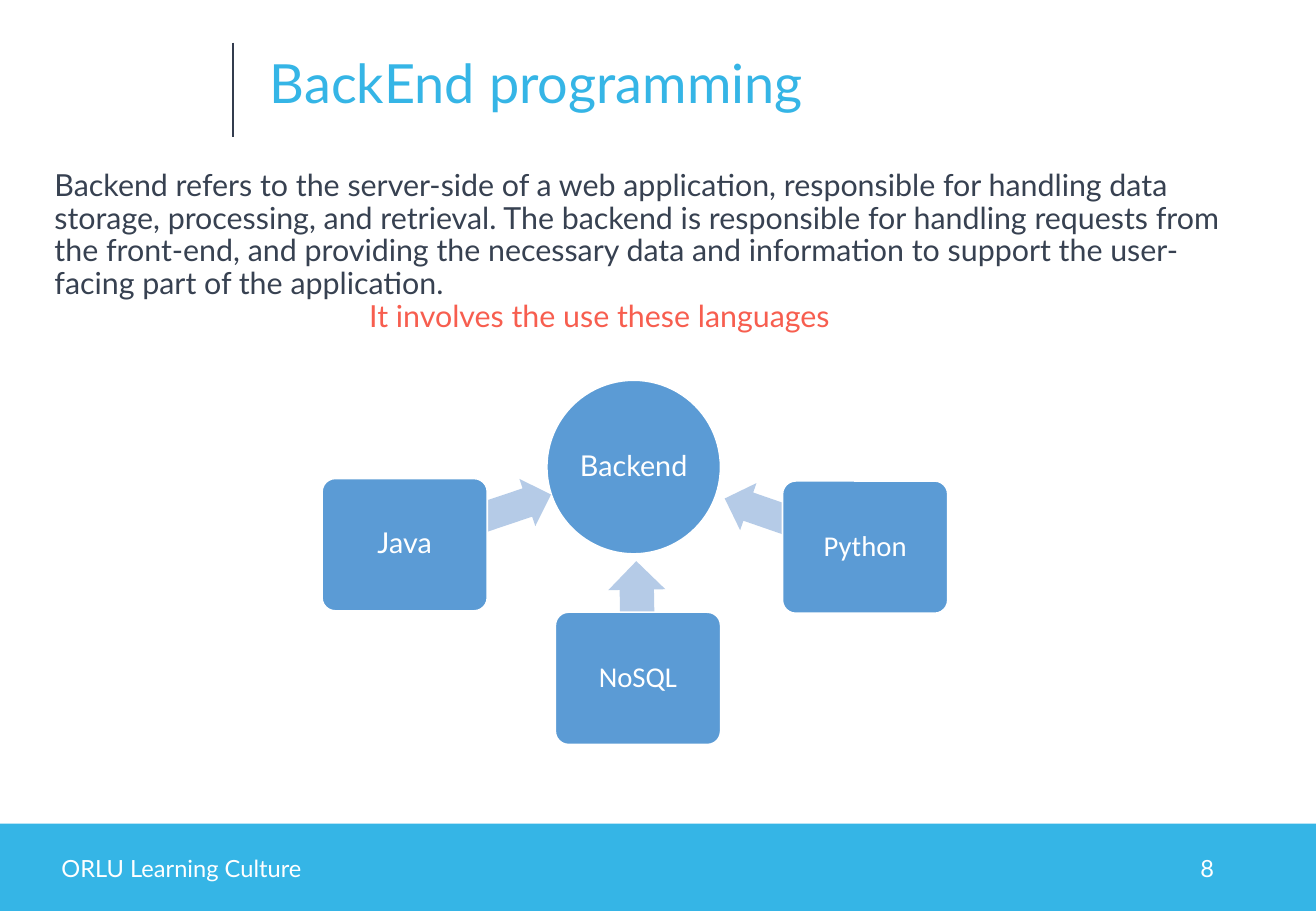
from lxml import etree
from pptx import Presentation
from pptx.dml.color import RGBColor
from pptx.enum.shapes import MSO_CONNECTOR, MSO_SHAPE
from pptx.enum.text import MSO_ANCHOR, MSO_AUTO_SIZE, PP_ALIGN
from pptx.oxml.ns import qn
from pptx.util import Inches, Pt

RECTANGLE, OVAL = MSO_SHAPE.RECTANGLE, MSO_SHAPE.OVAL
ROUNDED, LEFT_ARROW = MSO_SHAPE.ROUNDED_RECTANGLE, MSO_SHAPE.LEFT_ARROW
STRAIGHT = MSO_CONNECTOR.STRAIGHT
TOP, MIDDLE = MSO_ANCHOR.TOP, MSO_ANCHOR.MIDDLE
LEFT, CENTER, RIGHT = PP_ALIGN.LEFT, PP_ALIGN.CENTER, PP_ALIGN.RIGHT
NO_FIT = MSO_AUTO_SIZE.NONE

WHITE, SKY, NAVY = "FFFFFF", "35B5E6", "333C4E"
SLATE, CORAL = "374151", "F75E4F"
NODE_BLUE, ARROW_BLUE = "5B9BD5", "B5CBE7"


def rgb(code):
    return RGBColor.from_string(code)


class SlideBuilder:
    font = "Lato"

    def __init__(self, deck):
        self.width, self.height = deck.slide_width, deck.slide_height
        self.slide = deck.slides.add_slide(deck.slide_layouts[5])

    def place(self, left, top, width, height):
        return (round(self.width * left / 100), round(self.height * top / 100),
                round(self.width * width / 100), round(self.height * height / 100))

    def set_words(self, frame, words, size, color, align=LEFT, anchor=MIDDLE,
                  spacing=1.0, inset=None, font=None):
        frame.word_wrap = True
        frame.auto_size = NO_FIT
        frame.vertical_anchor = anchor
        if inset is not None:
            frame.margin_left = frame.margin_right = Inches(inset)
            frame.margin_top = frame.margin_bottom = Inches(inset)
        frame.text = words
        paragraph = frame.paragraphs[0]
        paragraph.alignment = align
        paragraph.line_spacing = spacing
        paragraph.font.name = font or self.font
        paragraph.font.size = Pt(size)
        paragraph.font.color.rgb = rgb(color)

    def title(self, area, words):
        heading = self.slide.shapes.title
        heading.left, heading.top, heading.width, heading.height = self.place(*area)
        self.set_words(heading.text_frame, words, 32, SKY, spacing=0.9, inset=0)

    def text(self, area, words, size, color, **style):
        box = self.slide.shapes.add_textbox(*self.place(*area))
        self.set_words(box.text_frame, words, size, color, **style)

    def rule(self, left, top, length):
        x, y, _, drop = self.place(left, top, 0, length)
        divider = self.slide.shapes.add_connector(STRAIGHT, x, y, x, y + drop)
        divider.line.color.rgb = rgb(NAVY)
        divider.line.width = Pt(1)
        etree.SubElement(divider._element.spPr, qn("a:effectLst"))

    def shape(self, kind, area, fill, outline=None, adjust=()):
        figure = self.slide.shapes.add_shape(kind, *self.place(*area))
        figure.shadow.inherit = False
        figure.fill.solid()
        figure.fill.fore_color.rgb = rgb(fill)
        if outline:
            figure.line.color.rgb = rgb(outline)
            figure.line.width = Pt(1)
        else:
            figure.line.fill.background()
        for index, value in enumerate(adjust):
            figure.adjustments[index] = value
        return figure

    def node(self, kind, area, label, font=None, adjust=()):
        figure = self.shape(kind, area, NODE_BLUE, WHITE, adjust)
        self.set_words(figure.text_frame, label, 17, WHITE, align=CENTER,
                       spacing=0.9, inset=0.04, font=font)

    def arrow(self, area, angle):
        self.shape(LEFT_ARROW, area, ARROW_BLUE, adjust=(0.6, 0.5)).rotation = angle


def main():
    deck = Presentation()
    deck.slide_width, deck.slide_height = Inches(10.83), Inches(7.5)
    page = SlideBuilder(deck)

    page.shape(RECTANGLE, (0, 90.4, 100, 9.6), SKY)
    page.rule(17.73, 4.67, 10.4)
    page.title((20.5, 6.4, 59, 6.13), "BackEnd programming")
    page.text((1.75, 92.67, 24.1, 5.33), "ORLU Learning Culture", 14, WHITE, align=CENTER)
    page.text((70.64, 92.67, 22.53, 5.33), "8", 14, WHITE, align=RIGHT)
    page.text((3.23, 18, 90.58, 17.33),
              "Backend refers to the server-side of a web application, responsible "
              "for handling data storage, processing, and retrieval. The backend is "
              "responsible for handling requests from the front-end, and providing "
              "the necessary data and information to support the user-facing part "
              "of the application.", 18, SLATE, anchor=TOP, spacing=0.9)

    page.node(OVAL, (41.55, 41.73, 13.2, 19.07), "Backend")
    languages = (
        ("Java", None, (24.47, 52.53), (29.82, 54.4, 12.37, 5.47), 161.4),
        ("NoSQL", "Calibri", (42.2, 67.2), (44.04, 64.8, 8.77, 6.27), 89),
        ("Python", "Calibri", (59.46, 52.8), (54.76, 54.67, 11.36, 5.47), 19.1),
    )
    for language, font, corner, arrow_area, angle in languages:
        page.arrow(arrow_area, angle)
        page.node(ROUNDED, (*corner, 12.56, 14.53), language, font, adjust=(0.1,))

    page.text((27.15, 32, 45.8, 5.33), "It involves the use these languages",
              18, CORAL, anchor=TOP)
    deck.save("out.pptx")


if __name__ == "__main__":
    main()
